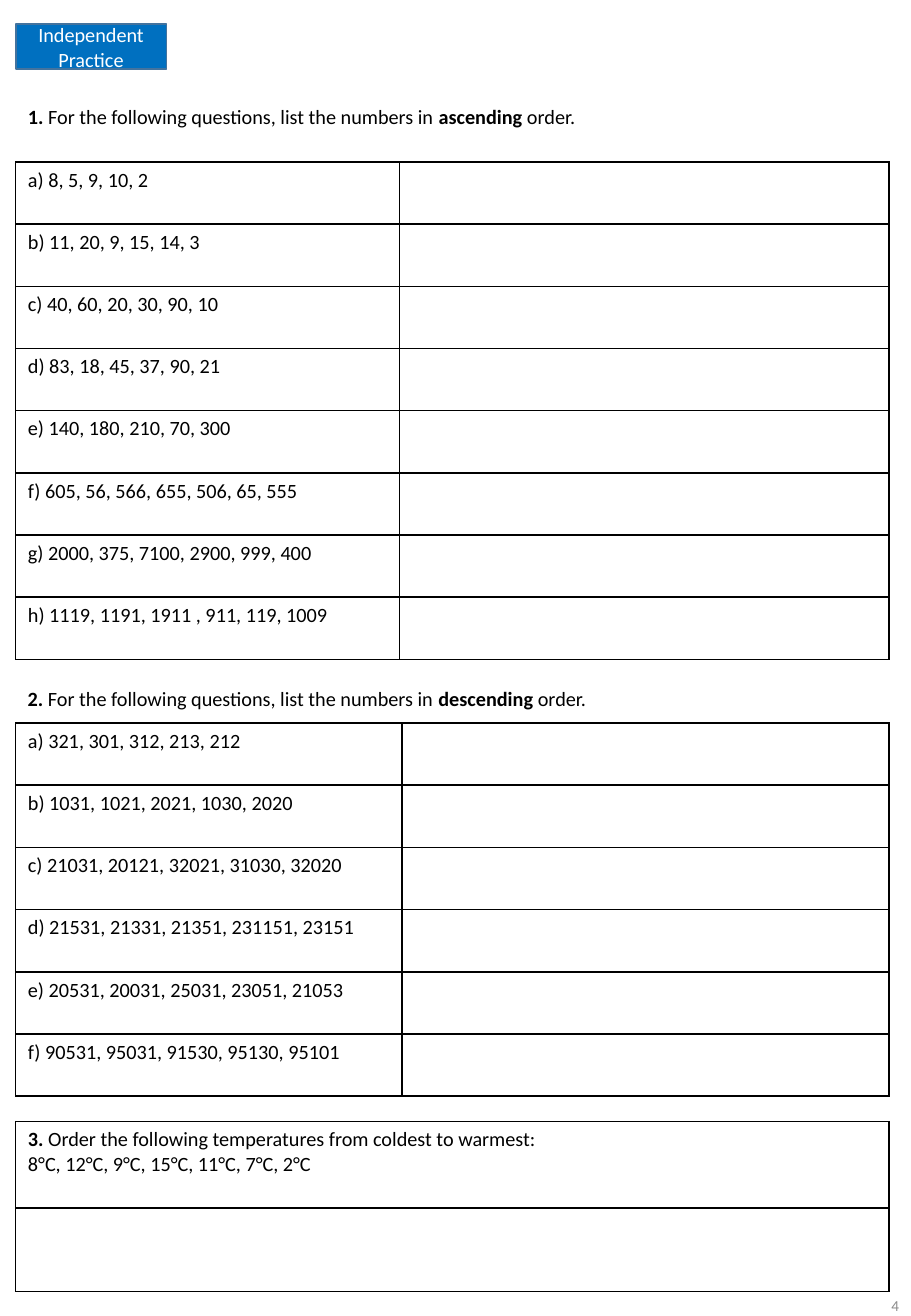
import pptx
import pptx.dml.color
import pptx.enum.text
import pptx.oxml
import pptx.oxml.ns
import pptx.util
from dataclasses import dataclass

Inches = pptx.util.Inches

# Content: a paragraph is a list of (text, bold) runs
BADGE = "Independent Practice"
PAGE_NUMBER = "4"


def order_heading(number, direction):
    return [(number, True), (" For the following questions, list the numbers in ", False),
            (direction, True), (" order.", False)]


ASCENDING_HEADING = order_heading("1.", "ascending")
ASCENDING = [
    "a) 8, 5, 9, 10, 2",
    "b) 11, 20, 9, 15, 14, 3",
    "c) 40, 60, 20, 30, 90, 10",
    "d) 83, 18, 45, 37, 90, 21",
    "e) 140, 180, 210, 70, 300",
    "f) 605, 56, 566, 655, 506, 65, 555",
    "g) 2000, 375, 7100, 2900, 999, 400",
    "h) 1119, 1191, 1911 , 911, 119, 1009",
]
DESCENDING_HEADING = order_heading("2.", "descending")
DESCENDING = [
    "a) 321, 301, 312, 213, 212",
    "b) 1031, 1021, 2021, 1030, 2020",
    "c) 21031, 20121, 32021, 31030, 32020",
    "d) 21531, 21331, 21351, 231151, 23151",
    "e) 20531, 20031, 25031, 23051, 21053",
    "f) 90531, 95031, 91530, 95130, 95101",
]
TEMPERATURES = [
    [("3.", True), (" Order the following temperatures from coldest to warmest:", False)],
    [("8°C, 12°C, 9°C, 15°C, 11°C, 7°C, 2°C", False)],
]


@dataclass(frozen=True)
class Theme:
    font: str = "Calibri"
    body_size: int = 12
    page_size: int = 9
    ink: str = "000000"
    paper: str = "FFFFFF"
    badge: str = "0070C0"
    badge_line: str = "43739E"
    page: str = "8C8C8C"
    rule_width: int = 1


THEME = Theme()
LEFT, WIDTH = 0.13, 7.19
ROW = 0.512
ALL_SIDES = "LRTB"


def rgb(value):
    return pptx.dml.color.RGBColor.from_string(value)


def write(frame, paragraphs, size=THEME.body_size, color=THEME.ink, align="LEFT"):
    frame.word_wrap = True
    for index, runs in enumerate(paragraphs):
        paragraph = frame.add_paragraph() if index else frame.paragraphs[0]
        for text, bold in runs:
            run = paragraph.add_run()
            run.text = text
            run.font.bold = bold
        paragraph.alignment = getattr(pptx.enum.text.PP_ALIGN, align)
        paragraph.font.name = THEME.font
        paragraph.font.size = pptx.util.Pt(size)
        paragraph.font.color.rgb = rgb(color)


def style_cell(cell, sides):
    """Rule the named sides, clear the others, then fill the cell."""
    properties = cell._tc.get_or_add_tcPr()
    for side in ALL_SIDES:
        paint = (f'<a:solidFill><a:srgbClr val="{THEME.ink}"/></a:solidFill>'
                 if side in sides else "<a:noFill/>")
        properties.append(pptx.oxml.parse_xml(
            f'<a:ln{side} {pptx.oxml.ns.nsdecls("a")} '
            f'w="{pptx.util.Pt(THEME.rule_width)}">{paint}</a:ln{side}>'))
    cell.fill.solid()
    cell.fill.fore_color.rgb = rgb(THEME.paper)


def add_grid(slide, top, columns, rows):
    """Each row is (height, paragraphs of its first cell, ruled sides)."""
    height = sum(row[0] for row in rows)
    table = slide.shapes.add_table(len(rows), len(columns), Inches(LEFT), Inches(top),
                                   Inches(WIDTH), Inches(height)).table
    table.first_row = table.horz_banding = False
    for column, width in zip(table.columns, columns):
        column.width = Inches(width)
    for index, (row_height, paragraphs, sides) in enumerate(rows):
        table.rows[index].height = Inches(row_height)
        for cell in table.rows[index].cells:
            style_cell(cell, sides)
        write(table.cell(index, 0).text_frame, paragraphs)
    return table


def question_rows(questions):
    return [(ROW, [[(question, False)]], ALL_SIDES) for question in questions]


def main():
    presentation = pptx.Presentation()
    presentation.slide_width, presentation.slide_height = Inches(7.5), Inches(10.83)
    slide = presentation.slides.add_slide(presentation.slide_layouts[5])

    # Question 1: two heading rows span the table
    heading_rows = [(0.43, [], ""), (ROW, [ASCENDING_HEADING], "B")]
    ascending = add_grid(slide, 0.39, [3.16, 4.03], heading_rows + question_rows(ASCENDING))
    for index in range(len(heading_rows)):
        ascending.cell(index, 0).merge(ascending.cell(index, 1))

    # Title badge, brought in front of the first table
    badge = slide.shapes.title
    slide.shapes._spTree.append(badge._element)
    badge.left, badge.top = Inches(LEFT), Inches(0.2)
    badge.width, badge.height = Inches(1.24), Inches(0.37)
    badge.fill.solid()
    badge.fill.fore_color.rgb = rgb(THEME.badge)
    badge.line.color.rgb = rgb(THEME.badge_line)
    badge.line.width = pptx.util.Pt(THEME.rule_width)
    badge.text_frame.auto_size = pptx.enum.text.MSO_AUTO_SIZE.NONE
    badge.text_frame.vertical_anchor = pptx.enum.text.MSO_ANCHOR.MIDDLE
    write(badge.text_frame, [[(BADGE, False)]], color=THEME.paper, align="CENTER")

    # Question 2
    add_grid(slide, 5.95, [3.18, 4.01], question_rows(DESCENDING))
    heading = slide.shapes.add_textbox(Inches(LEFT), Inches(5.6), Inches(6.2), Inches(0.3))
    write(heading.text_frame, [DESCENDING_HEADING])

    # Question 3
    add_grid(slide, 9.23, [WIDTH], [(0.71, TEMPERATURES, ALL_SIDES), (0.69, [], ALL_SIDES)])

    # Page number
    page = slide.shapes.add_textbox(Inches(5.81), Inches(10.45), Inches(1.69), Inches(0.58))
    page.text_frame.vertical_anchor = pptx.enum.text.MSO_ANCHOR.MIDDLE
    write(page.text_frame, [[(PAGE_NUMBER, False)]], THEME.page_size, THEME.page, "RIGHT")

    presentation.save("out.pptx")


if __name__ == "__main__":
    main()
